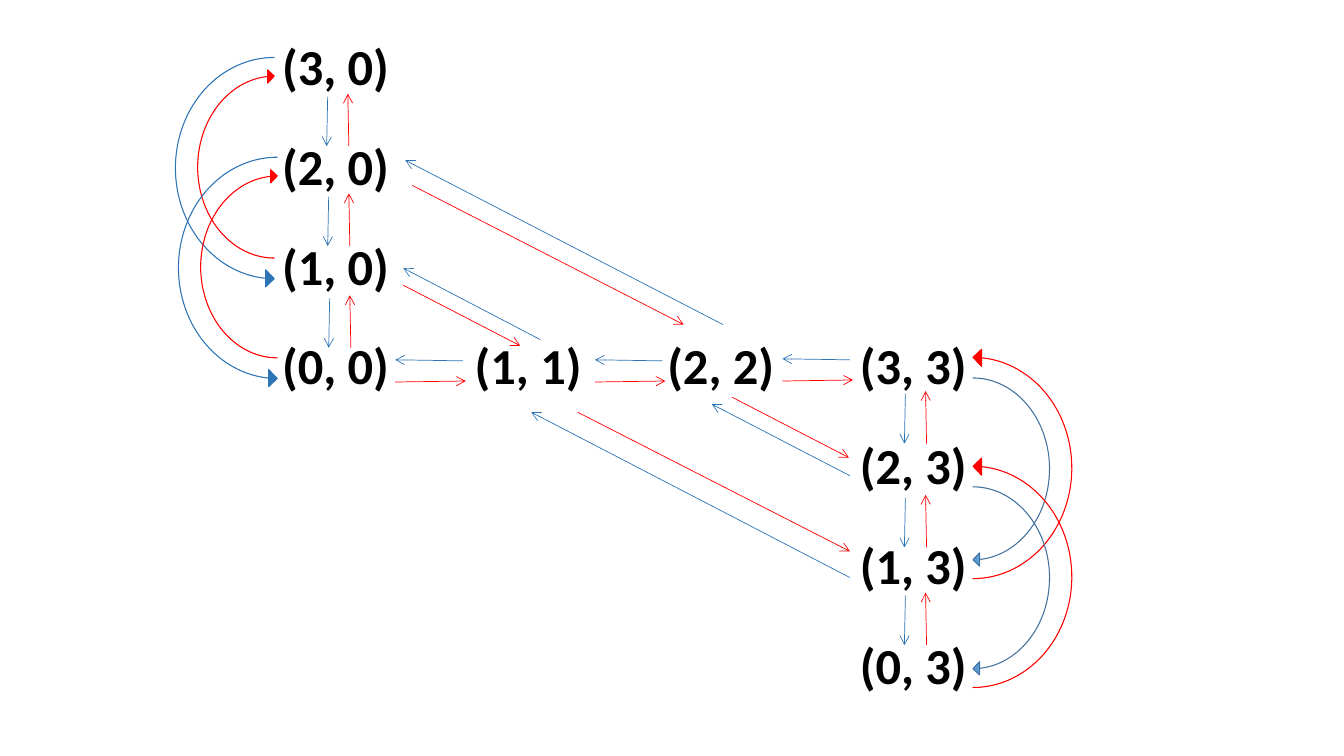
from lxml import etree
from pptx import Presentation
from pptx.dml.color import RGBColor
from pptx.enum.shapes import MSO_CONNECTOR, MSO_SHAPE
from pptx.enum.text import MSO_AUTO_SIZE
from pptx.oxml.ns import qn
from pptx.util import Inches, Pt

RECT, CURVED = MSO_SHAPE.RECTANGLE, MSO_SHAPE.CURVED_LEFT_ARROW
STRAIGHT = MSO_CONNECTOR.STRAIGHT
FIT = MSO_AUTO_SIZE.SHAPE_TO_FIT_TEXT

BLUE, LIGHT_BLUE, STEEL = "2E75B6", "5B9BD5", "43739E"
RED, BLACK, WHITE = "FF0000", "000000", "FFFFFF"

# Grid of states: (text, column, row)
LEFT, TOP, COL, ROW = 2.7, 0.3, 1.91, 0.99
STATES = [
    ("(3, 0)", 0, 0), ("(2, 0)", 0, 1), ("(1, 0)", 0, 2), ("(0, 0)", 0, 3),
    ("(1, 1)", 1, 3), ("(2, 2)", 2, 3), ("(3, 3)", 3, 3),
    ("(2, 3)", 3, 4), ("(1, 3)", 3, 5), ("(0, 3)", 3, 6),
]

# Start of the blue arrow of each horizontal and vertical pair
ACROSS = [(8.43, 3.57), (6.57, 3.58), (4.59, 3.58)]
DOWN = [(3.27, 2.96), (3.26, 1.95), (3.25, 0.96),
        (8.98, 3.91), (8.98, 4.94), (8.98, 5.91)]
# Blue and red arrow of each diagonal pair: x1, y1, x2, y2
DIAGONALS = [
    ((7.17, 3.22, 4.02, 1.59), (4.09, 1.84, 6.78, 3.22)),
    ((8.43, 5.73, 5.27, 4.09), (5.73, 4.09, 8.43, 5.47)),
    ((5.36, 3.37, 4.00, 2.66), (4.00, 2.83, 5.16, 3.43)),
    ((8.43, 4.72, 7.06, 4.01), (7.26, 3.94, 8.42, 4.54)),
]

# Curved arrows: small inner and large outer one of each pair
INNER, OUTER = (0.76, 1.87), (0.98, 2.28)
RIGHT_LOOPS = [(9.65, 3.46), (9.65, 4.54)]
LEFT_LOOPS = [(1.74, 0.57), (1.77, 1.56)]


def rgb(color):
    return RGBColor.from_string(color)


def add_filled(g, kind, x, y, w, h, fill, line, width):
    sp = g.shapes.add_shape(kind, Inches(x), Inches(y), Inches(w), Inches(h))
    sp.shadow.inherit = False
    sp.fill.solid()
    sp.fill.fore_color.rgb = rgb(fill)
    sp.line.color.rgb = rgb(line)
    sp.line.width = Pt(width)
    return sp


def add_state(g, text, col, row):
    sp = g.shapes.add_textbox(Inches(LEFT + col * COL), Inches(TOP + row * ROW),
                              Inches(1.32), Inches(0.71))
    tf = sp.text_frame
    tf.word_wrap = True
    tf.auto_size = FIT
    tf.text = text
    font = tf.paragraphs[0].runs[0].font
    font.name, font.size, font.bold = "Calibri", Pt(36), True
    font.color.rgb = rgb(BLACK)


def add_arrow(g, color, x1, y1, x2, y2):
    c = g.shapes.add_connector(STRAIGHT, Inches(x1), Inches(y1), Inches(x2), Inches(y2))
    c.line.color.rgb = rgb(color)
    c.line.width = Pt(0.5)
    etree.SubElement(c.line._get_or_add_ln(), qn("a:tailEnd"), type="arrow")
    etree.SubElement(c._element.spPr, qn("a:effectLst"))


def add_loop(g, x, y, size, fill, line, rotation=0, flip=False):
    sp = add_filled(g, CURVED, x, y, *size, fill, line, 0)
    for i, value in enumerate((0, 0.173, 0.087)):
        sp.adjustments[i] = value
    sp.rotation = rotation
    if flip:
        sp._element.spPr.xfrm.set("flipH", "1")


def main():
    prs = Presentation()
    prs.slide_width, prs.slide_height = Inches(13.33), Inches(7.5)
    slide = prs.slides.add_slide(prs.slide_layouts[6])
    g = slide.shapes.add_group_shape()

    add_filled(g, RECT, 1.28, 0.25, 9.79, 6.87, WHITE, WHITE, 1)
    for state in STATES:
        add_state(g, *state)

    for x, y in ACROSS:
        add_arrow(g, BLUE, x, y, x - 0.67, y - 0.01)
        add_arrow(g, RED, x - 0.67, y + 0.21, x + 0.03, y + 0.2)
    for x, y in DOWN:
        add_arrow(g, BLUE, x, y, x - 0.01, y + 0.49)
        add_arrow(g, RED, x + 0.21, y + 0.49, x + 0.2, y - 0.03)
    for blue, red in DIAGONALS:
        add_arrow(g, BLUE, *blue)
        add_arrow(g, RED, *red)

    for x, y in RIGHT_LOOPS:
        add_loop(g, x, y + 0.29, INNER, LIGHT_BLUE, STEEL)
        add_loop(g, x, y, OUTER, RED, RED, rotation=180, flip=True)
    for x, y in LEFT_LOOPS:
        add_loop(g, x + 0.22, y + 0.12, INNER, RED, RED, rotation=180)
        add_loop(g, x, y, OUTER, BLUE, BLUE, flip=True)

    prs.save("out.pptx")


if __name__ == "__main__":
    main()
